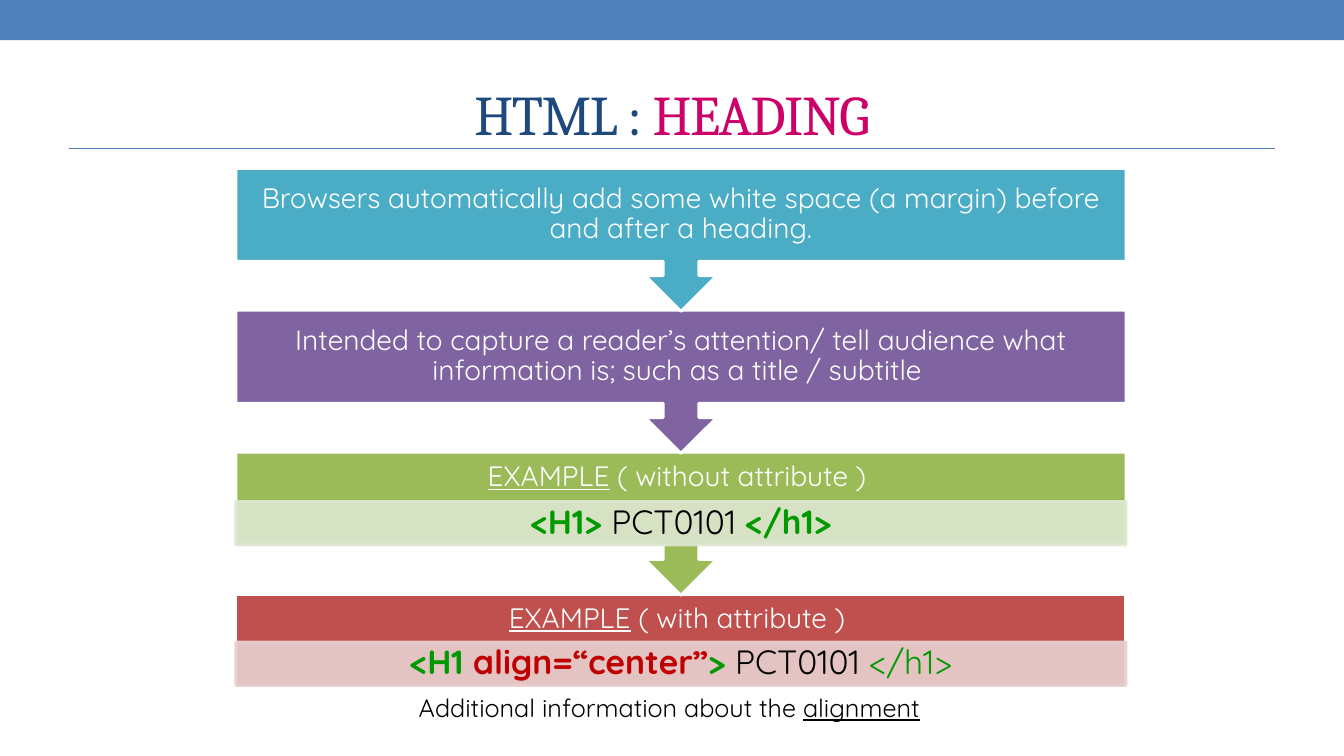
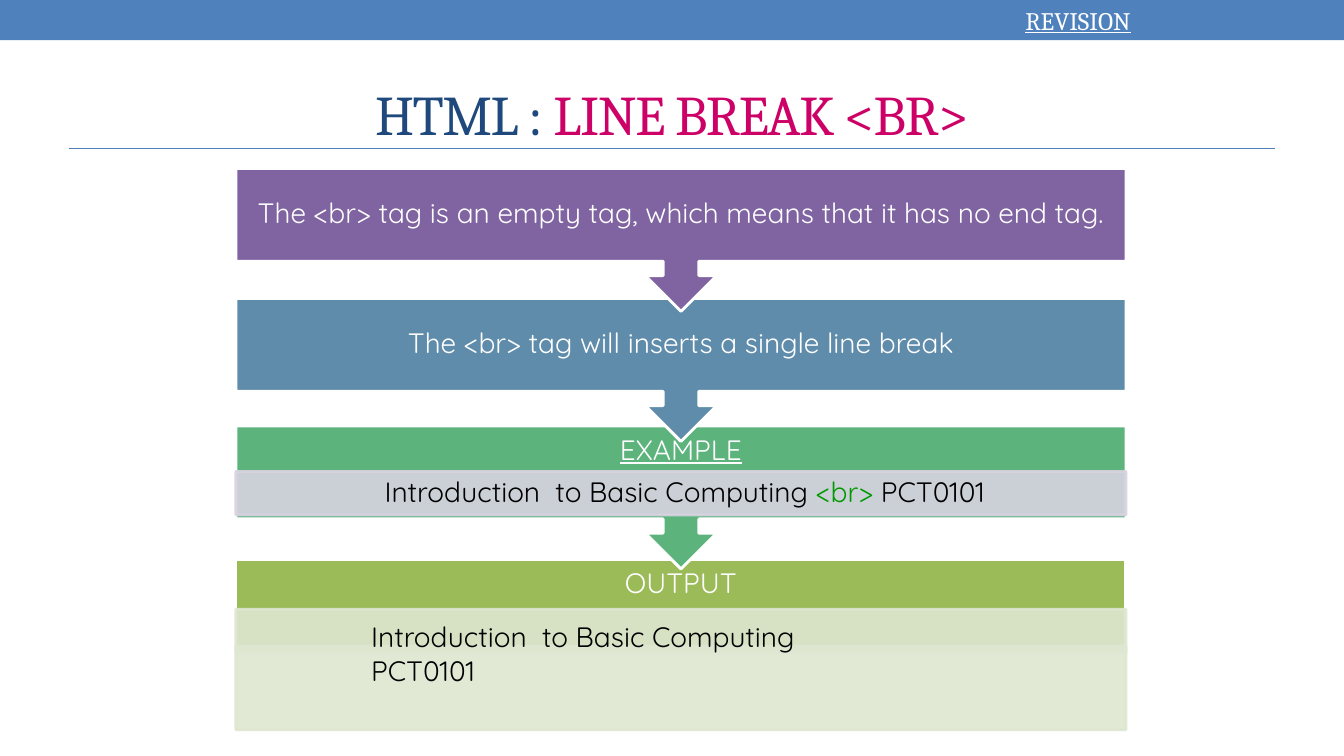
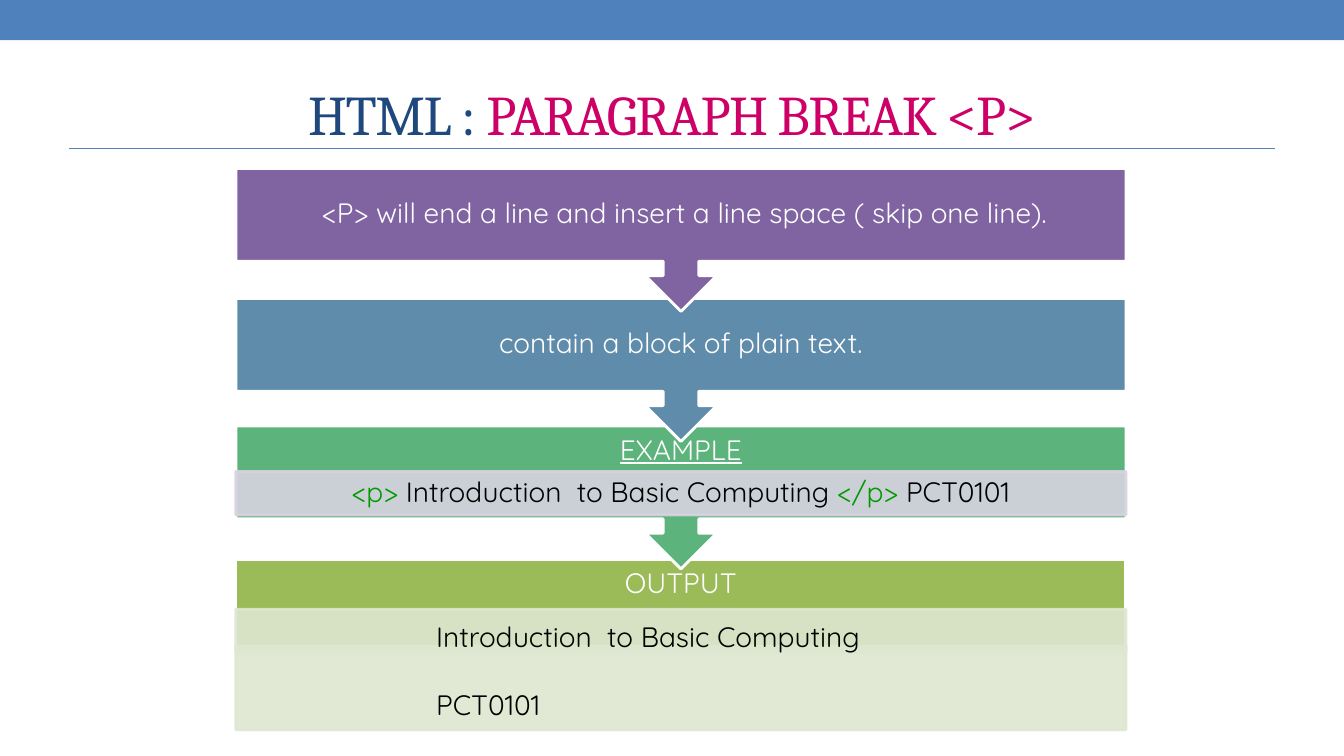
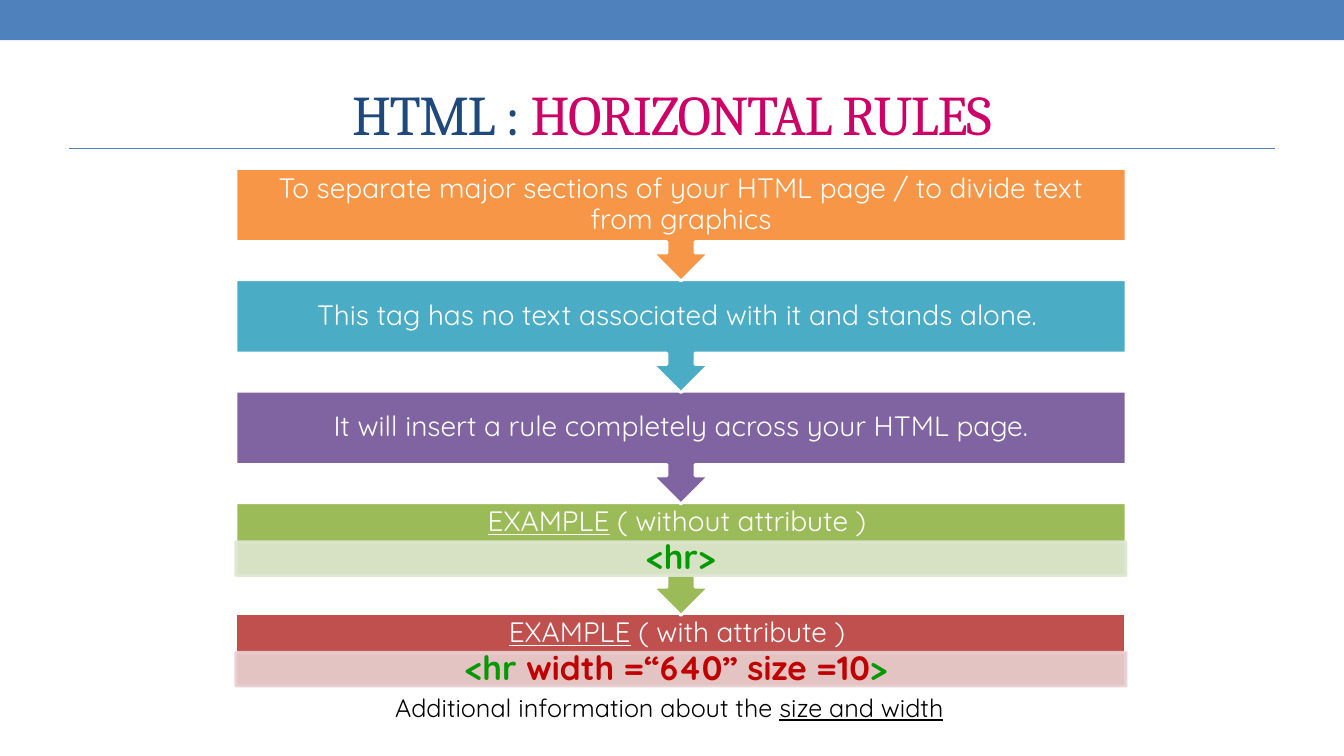
from dataclasses import dataclass
from typing import Optional

from lxml.etree import SubElement
from pptx import Presentation
from pptx.dml.color import RGBColor
from pptx.enum.shapes import MSO_CONNECTOR as Connector, MSO_SHAPE as Shape
from pptx.enum.text import MSO_ANCHOR as Anchor, PP_ALIGN as Align
from pptx.oxml.ns import qn
from pptx.util import Pt

# Colours
WHITE = RGBColor(0xFF, 0xFF, 0xFF)
BLACK = RGBColor(0x00, 0x00, 0x00)
BLUE = RGBColor(0x4F, 0x81, 0xBD)
NAVY = RGBColor(0x1F, 0x49, 0x7D)
PINK = RGBColor(0xCC, 0x00, 0x66)
TAG_GREEN = RGBColor(0x00, 0x99, 0x00)
TAG_RED = RGBColor(0xC0, 0x00, 0x00)
ORANGE = RGBColor(0xF7, 0x96, 0x46)
AQUA = RGBColor(0x4B, 0xAC, 0xC6)
PURPLE = RGBColor(0x80, 0x64, 0xA2)
STEEL = RGBColor(0x60, 0x8C, 0xAB)
MINT = RGBColor(0x5C, 0xB3, 0x7C)
GREEN = RGBColor(0x9B, 0xBB, 0x59)
RED = RGBColor(0xC0, 0x50, 0x4D)
PALE_GREEN = RGBColor(0xDE, 0xE7, 0xD1)
PALE_RED = RGBColor(0xE8, 0xD0, 0xD0)
PALE_PURPLE = RGBColor(0xD8, 0xD3, 0xE0)

# Fonts and shared measures, in points
SERIF, SANS = "Cambria", "Quicksand"
PAGE_WIDTH, PAGE_HEIGHT = 960, 540
BAR_HEIGHT = 28.8
FLOW_LEFT, FLOW_TOP, FLOW_WIDTH = 168.5, 120.2, 635.8
EDGE = 2.08
BODY_SHARE = 0.65  # part of a callout above its arrow


@dataclass
class Band:
    """One step of the flow: a heading and, if given, a code strip."""
    fill: RGBColor
    heading: list
    strip_fill: Optional[RGBColor] = None
    code: Optional[list] = None
    strip_drop: float = 0


@dataclass
class Flow:
    tops: list
    callout_height: float
    strip_height: float
    code_size: int
    code_inset: float


def span(text, color=WHITE, **font):
    return text, color, font


def set_all(target, values):
    for name, value in values.items():
        setattr(target, name, value)


# Drawing helpers; a box is (left, top, width, height)
def add_text(page, box, lines, size, face=SANS, align=Align.CENTER,
             insets=(7.2, 3.6, 7.2, 3.6), anchor=Anchor.MIDDLE,
             spacing=None, tracking=None, **para_format):
    frame = page.shapes.add_textbox(*map(Pt, box)).text_frame
    left, top, right, bottom = map(Pt, insets)
    set_all(frame, dict(word_wrap=True, vertical_anchor=anchor,
                        margin_left=left, margin_top=top,
                        margin_right=right, margin_bottom=bottom))
    for index, spans in enumerate(lines):
        para = frame.add_paragraph() if index else frame.paragraphs[0]
        set_all(para, dict(alignment=align, line_spacing=spacing, **para_format))
        for text, color, font in spans:
            run = para.add_run()
            run.text = text
            set_all(run.font, dict(name=face, size=Pt(size), **font))
            run.font.color.rgb = color
            if tracking:
                run.font._element.set("spc", str(tracking))


def add_block(page, kind, box, fill, edge=None, opacity=None):
    block = page.shapes.add_shape(kind, *map(Pt, box))
    block.shadow.inherit = False
    block.fill.solid()
    block.fill.fore_color.rgb = fill
    if edge is None:
        block.line.fill.background()
    else:
        block.line.color.rgb = edge
        block.line.width = Pt(EDGE)
    if opacity:
        for color in block._element.spPr.iter(qn("a:srgbClr")):
            SubElement(color, qn("a:alpha")).set("val", str(opacity * 1000))
    return block


def add_strip(page, box, fill):
    add_block(page, Shape.RECTANGLE, box, fill, edge=fill, opacity=90)


# Shared frame: top bar, title and rule
def add_frame(page, topic):
    add_block(page, Shape.RECTANGLE, (0, 0, PAGE_WIDTH, BAR_HEIGHT), BLUE)
    rule = page.shapes.add_connector(
        Connector.STRAIGHT, Pt(49), Pt(105.8), Pt(911), Pt(105.8))
    rule.line.color.rgb = BLUE
    rule.line.width = Pt(0.75)
    SubElement(rule._element.spPr, qn("a:effectLst"))
    add_text(page, (48, 41.8, 864, 77.8),
             [[span("HTML : ", NAVY), span(topic, PINK)]],
             40, face=SERIF, tracking=-100)


# One step of the flow
def add_band(page, top, band, flow, last):
    body_height = flow.callout_height * BODY_SHARE
    height = body_height if last else flow.callout_height
    kind = Shape.RECTANGLE if last else Shape.UP_ARROW_CALLOUT
    block = add_block(page, kind, (FLOW_LEFT, top, FLOW_WIDTH, height),
                      band.fill, edge=WHITE)
    block.rotation = 0 if last else 180

    heading_height = body_height * 0.54 if band.strip_fill else body_height
    add_text(page, (FLOW_LEFT, top, FLOW_WIDTH, heading_height), [band.heading],
             20, insets=(11.5,) * 4, spacing=0.9, space_after=Pt(7))
    if band.strip_fill:
        strip = (FLOW_LEFT, top + band.strip_drop, FLOW_WIDTH, flow.strip_height)
        add_strip(page, strip, band.strip_fill)
        if band.code:
            inset = flow.code_inset
            add_text(page, strip, [band.code], flow.code_size,
                     insets=(inset, 2, inset, 2), spacing=0.9,
                     space_after=Pt(flow.code_size * 0.35))


def add_flow(page, bands, flow):
    # Lowest step first, so that each arrow lies over the next step
    for index in reversed(range(len(bands))):
        add_band(page, flow.tops[index], bands[index], flow,
                 last=index == len(bands) - 1)


def even_tops(count, step):
    return [FLOW_TOP + step * index for index in range(count)]


# Slide type: facts, then examples without and with attributes
def add_attribute_slide(page, topic, facts, plain, full, linked, step,
                        callout_height, strip_height, drops):
    add_frame(page, topic)
    bands = [Band(fill, [span(text)]) for fill, text in facts]
    examples = (("without", GREEN, PALE_GREEN, plain),
                ("with", RED, PALE_RED, full))
    for (word, fill, pale, code), drop in zip(examples, drops):
        heading = [span("EXAMPLE", underline=True),
                   span(f" ( {word} attribute ) ")]
        bands.append(Band(fill, heading, pale, code, drop))
    add_flow(page, bands, Flow(even_tops(len(bands), step), callout_height,
                               strip_height, 24, 13.7))
    add_text(page, (208, 491, 499, 28.8),
             [[span(" Additional information about the ", BLACK),
               span(linked, BLACK, underline=True)]],
             18, insets=(43.2, 3.6, 7.2, 3.6), anchor=Anchor.TOP)


# Slide type: two facts, an example and its output
def add_output_slide(page, topic, facts, code, output_left, line_gap=0):
    add_frame(page, topic)
    bands = [Band(fill, [span(text)])
             for fill, text in zip((PURPLE, STEEL), facts)]
    bands += [
        Band(MINT, [span("EXAMPLE", underline=True)], PALE_PURPLE, code, 32.6),
        Band(GREEN, [span("OUTPUT")], PALE_GREEN, strip_drop=35.6)]
    add_flow(page, bands, Flow([FLOW_TOP, 213.1, 304.2, 399.6],
                               102.2, 31, 20, 11.5))
    add_strip(page, (FLOW_LEFT, 461.5, FLOW_WIDTH, 59.8), PALE_GREEN)
    add_text(page, (output_left, 439.2, 482, 80),
             [[span("Introduction  to Basic Computing", BLACK)],
              [span("PCT0101", BLACK)]],
             20, align=Align.LEFT, anchor=Anchor.TOP, space_after=Pt(line_gap))


def main():
    deck = Presentation()
    deck.slide_width, deck.slide_height = Pt(PAGE_WIDTH), Pt(PAGE_HEIGHT)
    heading, line_break, paragraph, rules = [
        deck.slides.add_slide(deck.slide_layouts[6]) for _ in range(4)]

    add_attribute_slide(
        heading, "HEADING",
        facts=[
            (AQUA, "Browsers automatically add some white space (a margin) "
                   "before and after a heading."),
            (PURPLE, "Intended to capture a reader’s attention/ tell audience "
                     "what information is; such as a title / subtitle ")],
        plain=[span("<H1> ", TAG_GREEN, bold=True), span("PCT0101 ", BLACK),
               span("</h1>", TAG_GREEN, bold=True)],
        full=[span("<H1 ", TAG_GREEN, bold=True),
              span("align=“center”", TAG_RED, bold=True),
              span("> ", TAG_GREEN, bold=True),
              span("PCT0101 ", BLACK), span("</h1>", TAG_GREEN)],
        linked="alignment", step=101.4, callout_height=102.2,
        strip_height=31, drops=(35.2, 34.2))

    add_output_slide(
        line_break, "LINE BREAK <BR>",
        facts=["The <br> tag is an empty tag, which means that it has no end tag.",
               "The <br> tag will inserts a single line break"],
        code=[span(" Introduction  to Basic Computing ", BLACK),
              span("<br> ", TAG_GREEN), span("PCT0101", BLACK)],
        output_left=258)
    add_text(line_break, (724, 0, 92, BAR_HEIGHT),
             [[span("REVISION", underline=True)]], 18, face=SERIF)

    add_output_slide(
        paragraph, "PARAGRAPH BREAK <P>",
        facts=[" <P> will end a line and insert a line space ( skip one line).",
               "contain a block of plain text."],
        code=[span("<p> ", TAG_GREEN),
              span("Introduction  to Basic Computing ", BLACK),
              span("</p> ", TAG_GREEN), span("PCT0101", BLACK)],
        output_left=304.5, line_gap=24)

    add_attribute_slide(
        rules, "HORIZONTAL RULES",
        facts=[
            (ORANGE, "To separate major sections of your HTML page / "
                     "to divide text from graphics"),
            (AQUA, "This tag has no text associated with it and stands alone. "),
            (PURPLE, "It will insert a rule completely across your HTML page.")],
        plain=[span("<hr>", TAG_GREEN, bold=True)],
        full=[span("<hr ", TAG_GREEN, bold=True),
              span("width =“640” size =10", TAG_RED, bold=True),
              span("> ", TAG_GREEN, bold=True)],
        linked="size and width", step=79.6, callout_height=80.6,
        strip_height=24.1, drops=(28, 27.4))

    deck.save("out.pptx")


if __name__ == "__main__":
    main()
